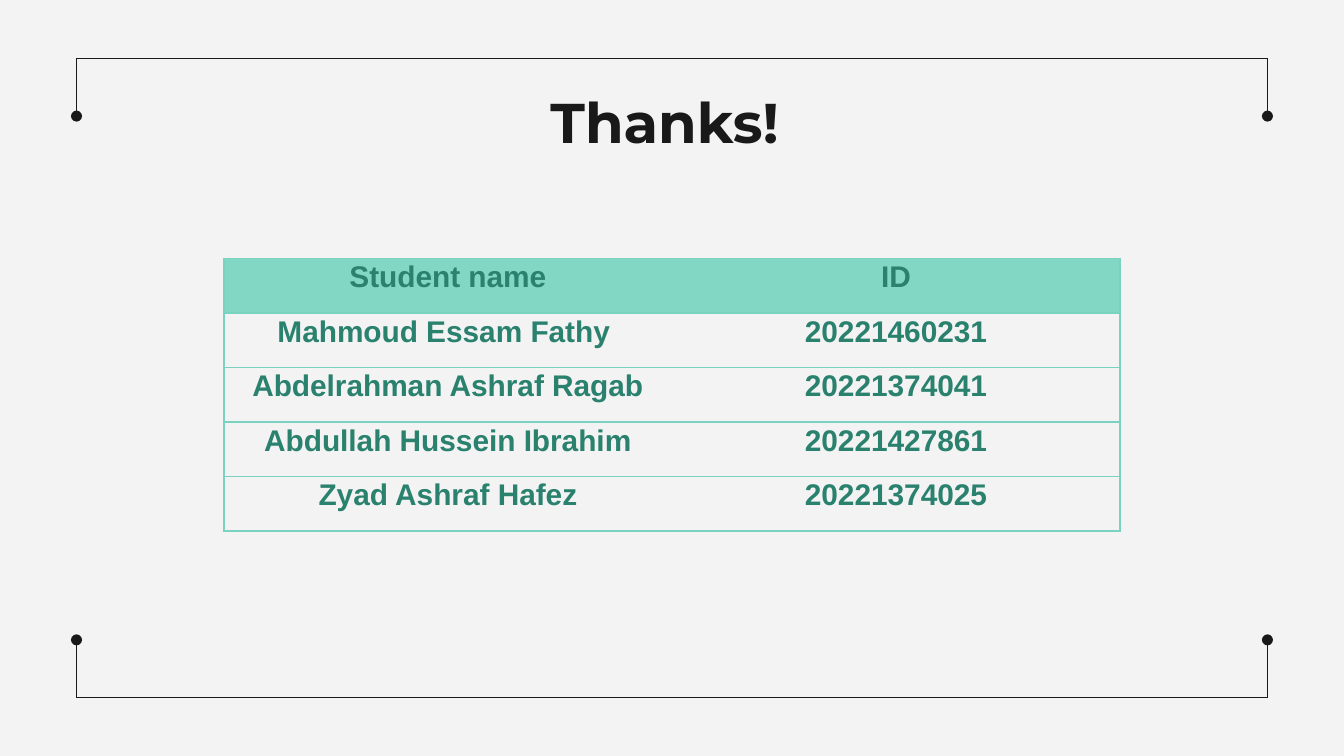
from lxml.etree import SubElement
from pptx import Presentation
from pptx.dml.color import RGBColor
from pptx.enum.shapes import MSO_CONNECTOR
from pptx.enum.text import MSO_ANCHOR, PP_ALIGN
from pptx.oxml import parse_xml
from pptx.oxml.ns import nsdecls, qn
from pptx.util import Pt

PAPER = RGBColor(0xF3, 0xF3, 0xF3)
INK = RGBColor(0x19, 0x19, 0x19)
MINT = RGBColor(0x7A, 0xD3, 0xC0)
HEADER_MINT = RGBColor(0x82, 0xD7, 0xC4)
GREEN = RGBColor(0x29, 0x81, 0x6E)

STUDENTS = [
    ("Student name", "ID"),
    ("Mahmoud Essam Fathy ", "20221460231"),
    ("Abdelrahman Ashraf Ragab", "20221374041"),
    ("Abdullah Hussein Ibrahim", "20221427861"),
    ("Zyad Ashraf Hafez", "20221374025"),
]


def style_paragraph(paragraph, size, font_name, color):
    paragraph.alignment = PP_ALIGN.CENTER
    paragraph.font.size = Pt(size)
    paragraph.font.name = font_name
    paragraph.font.bold = True
    paragraph.font.color.rgb = color


def add_rule(slide, x1, y1, x2, y2, dotted=False):
    rule = slide.shapes.add_connector(
        MSO_CONNECTOR.STRAIGHT, Pt(x1), Pt(y1), Pt(x2), Pt(y2))
    rule.line.color.rgb = INK
    rule.line.width = Pt(0.75)
    if dotted:
        SubElement(rule.line._get_or_add_ln(), qn("a:tailEnd"),
                   type="oval", w="med", len="med")
    SubElement(rule._element.spPr, qn("a:effectLst"))


def add_frame(slide, left, top, width, height, arm=31):
    right, bottom = left + width, top + height
    for y, arm_end in ((top, top + arm), (bottom, bottom - arm)):
        add_rule(slide, left, y, right, y)
        for x in (left, right):
            add_rule(slide, x, y, x, arm_end, dotted=True)


def add_title(slide, left, top, width, height):
    title = slide.shapes.add_textbox(Pt(left), Pt(top), Pt(width), Pt(height))
    frame = title.text_frame
    frame.word_wrap = True
    frame.vertical_anchor = MSO_ANCHOR.MIDDLE
    frame.margin_left = frame.margin_right = Pt(7.2)
    frame.margin_top = frame.margin_bottom = Pt(7.2)
    frame.text = "Thanks! "
    style_paragraph(frame.paragraphs[0], 30, "Montserrat", INK)


def set_borders(cell, visible_sides):
    properties = cell._tc.get_or_add_tcPr()
    for position, side in enumerate("LRTB"):
        paint = (f'<a:solidFill><a:srgbClr val="{MINT}"/></a:solidFill>'
                 if side in visible_sides else "<a:noFill/>")
        properties.insert(position, parse_xml(
            f'<a:ln{side} {nsdecls("a")} w="{Pt(0.75)}">{paint}</a:ln{side}>'))


def add_student_table(slide, left, top, width, height):
    table = slide.shapes.add_table(
        len(STUDENTS), 2, Pt(left), Pt(top), Pt(width), Pt(height)).table
    table.first_row = table.horz_banding = False
    for row_index, student in enumerate(STUDENTS):
        for column_index, entry in enumerate(student):
            cell = table.cell(row_index, column_index)
            cell.margin_left = cell.margin_right = Pt(5.4)
            cell.margin_top = cell.margin_bottom = 0
            cell.text = entry
            paragraph = cell.text_frame.paragraphs[0]
            paragraph.line_spacing = 1.07
            style_paragraph(paragraph, 16, "Arial", GREEN)
            if row_index == 0:
                cell.fill.solid()
                cell.fill.fore_color.rgb = HEADER_MINT
            else:
                cell.fill.background()
            set_borders(cell, "TB" + "LR"[column_index])


def main():
    presentation = Presentation()
    presentation.slide_width, presentation.slide_height = Pt(720), Pt(405)
    slide = presentation.slides.add_slide(presentation.slide_layouts[6])
    slide.background.fill.solid()
    slide.background.fill.fore_color.rgb = PAPER
    add_frame(slide, 41, 31.2, 638, 342.6)
    add_title(slide, 56.8, 42.5, 607, 45)
    add_student_table(slide, 120, 138.5, 480, 146)
    presentation.save("out.pptx")


if __name__ == "__main__":
    main()
